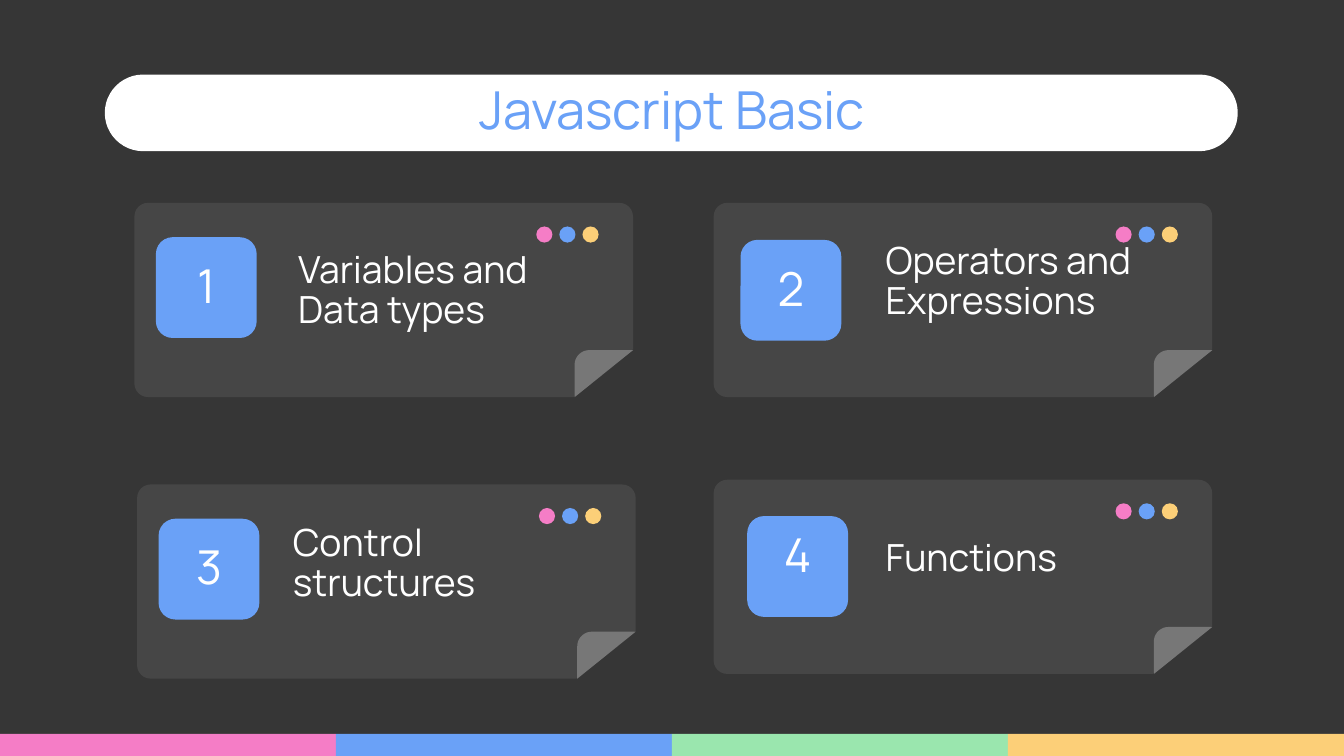
import math

import pptx
import pptx.dml.color
import pptx.enum.shapes
import pptx.enum.text
import pptx.util

SHAPE = pptx.enum.shapes.MSO_SHAPE
ALIGN = pptx.enum.text.PP_ALIGN
PINK, BLUE, GREEN, YELLOW = "F57DC6", "6AA1F7", "9AE6AE", "FCCF78"
DARK, CARD, FOLD, WHITE = "363636", "464646", "777777", "FFFFFF"

presentation = pptx.Presentation()
presentation.slide_width = pptx.util.Inches(10)
presentation.slide_height = pptx.util.Inches(5.625)
# Square grid: 100 columns across the slide, 56.25 rows down
unit = presentation.slide_width / 100
slide = presentation.slides.add_slide(presentation.slide_layouts[5])


def paint(target, color):
    """Fill a shape or background with a hex colour; shapes lose line and shadow."""
    target.fill.solid()
    target.fill.fore_color.rgb = pptx.dml.color.RGBColor.from_string(color)
    if hasattr(target, "line"):
        target.line.fill.background()
        target.shadow.inherit = False


def write(shape, text, size=20, color=WHITE, align=ALIGN.LEFT, spacing=0.9):
    frame = shape.text_frame
    frame.word_wrap = True
    frame.auto_size = pptx.enum.text.MSO_AUTO_SIZE.NONE
    frame.vertical_anchor = pptx.enum.text.MSO_ANCHOR.MIDDLE
    frame.margin_left = frame.margin_right = round(unit)
    frame.margin_top = frame.margin_bottom = round(unit)
    paragraph = frame.paragraphs[0]
    paragraph.text = text
    paragraph.alignment = align
    paragraph.line_spacing = spacing
    font = paragraph.font
    font.name = "Manrope"
    font.size = pptx.util.Pt(size)
    font.color.rgb = pptx.dml.color.RGBColor.from_string(color)


paint(slide.background, DARK)

# Colour strip along the bottom
for index, color in enumerate([PINK, BLUE, GREEN, YELLOW]):
    bar = slide.shapes.add_shape(
        SHAPE.RECTANGLE, *[round(unit * n) for n in (25 * index, 54.6, 25, 1.65)])
    paint(bar, color)

# Title on its white pill
pill = slide.shapes.add_shape(
    SHAPE.ROUNDED_RECTANGLE, *[round(unit * n) for n in (7.8, 5.55, 84.3, 5.7)])
pill.adjustments[0] = 0.5
paint(pill, WHITE)
title = slide.shapes.title
title.left, title.top, title.width, title.height = [
    round(unit * n) for n in (7.85, 5.9, 84.3, 5)]
write(title, "Javascript Basic", size=28, color=BLUE, align=ALIGN.CENTER)
pill._element.addnext(title._element)

# Number, topic, then left and top of the card, badge and topic, and top of the number
cards = [
    ("1", "Variables and Data types", (10, 15.1), (11.6, 17.65), (21.2, 19.7), 19),
    ("2", "Operators and Expressions", (53.1, 15.1), (55.1, 17.85), (64.9, 19), 19.2),
    ("3", "Control structures", (10.2, 36.05), (11.8, 38.6), (20.8, 40), 39.9),
    ("4", "Functions", (53.1, 35.7), (55.6, 38.4), (64.9, 39.6), 39),
]
card_width, card_height = 37.1, 14.45
fold_width, fold_height, fold_radius = 4.35, 3.5, 1.1
badge_size = 7.5

for number, topic, (left, top), badge_at, topic_at, number_top in cards:
    right, bottom = left + card_width, top + card_height
    fold_left, fold_top = right - fold_width, bottom - fold_height
    group = slide.shapes.add_group_shape()

    panel = group.shapes.add_shape(
        SHAPE.ROUNDED_RECTANGLE,
        *[round(unit * n) for n in (left, top, card_width, card_height)])
    panel.adjustments[0] = 0.07
    paint(panel, CARD)

    for index, color in enumerate([PINK, BLUE, YELLOW]):
        dot = group.shapes.add_shape(
            SHAPE.OVAL, *[round(unit * n) for n in
                          (left + 29.9 + 1.72 * index, top + 1.75, 1.2, 1.2)])
        paint(dot, color)

    corner = group.shapes.build_freeform(
        round(unit * right), round(unit * fold_top))
    corner.add_line_segments([
        (round(unit * right), round(unit * bottom)),
        (round(unit * fold_left), round(unit * bottom))])
    corner = corner.convert_to_shape()
    paint(corner, DARK)
    corner.line.color.rgb = pptx.dml.color.RGBColor.from_string(DARK)
    corner.line.width = pptx.util.Pt(0.75)

    arc = [(fold_left + fold_radius * (1 - math.sin(math.radians(angle))),
            fold_top + fold_radius * (1 - math.cos(math.radians(angle))))
           for angle in range(0, 91, 10)]
    outline = [(right, fold_top), *arc, (fold_left, bottom)]
    points = [(round(unit * x), round(unit * y)) for x, y in outline]
    fold = group.shapes.build_freeform(*points[0])
    fold.add_line_segments(points[1:])
    paint(fold.convert_to_shape(), FOLD)

    badge = slide.shapes.add_shape(
        SHAPE.ROUNDED_RECTANGLE,
        *[round(unit * n) for n in (*badge_at, badge_size, badge_size)])
    paint(badge, BLUE)
    number_box = slide.shapes.add_textbox(
        *[round(unit * n) for n in (badge_at[0] - 0.25, number_top, 8, 4.9)])
    write(number_box, number, size=25, align=ALIGN.CENTER)
    topic_box = slide.shapes.add_textbox(
        *[round(unit * n) for n in (*topic_at, 25.2, 4)])
    write(topic_box, topic)

presentation.save("out.pptx")
